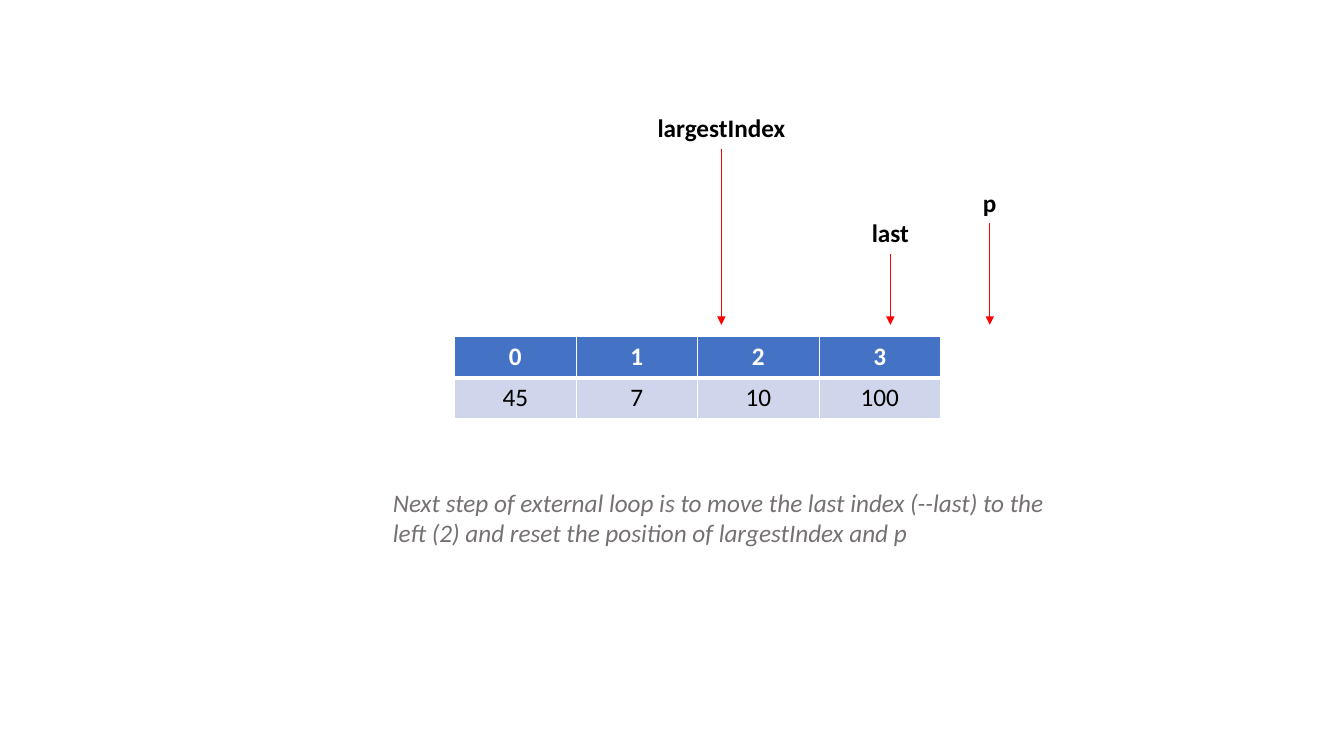
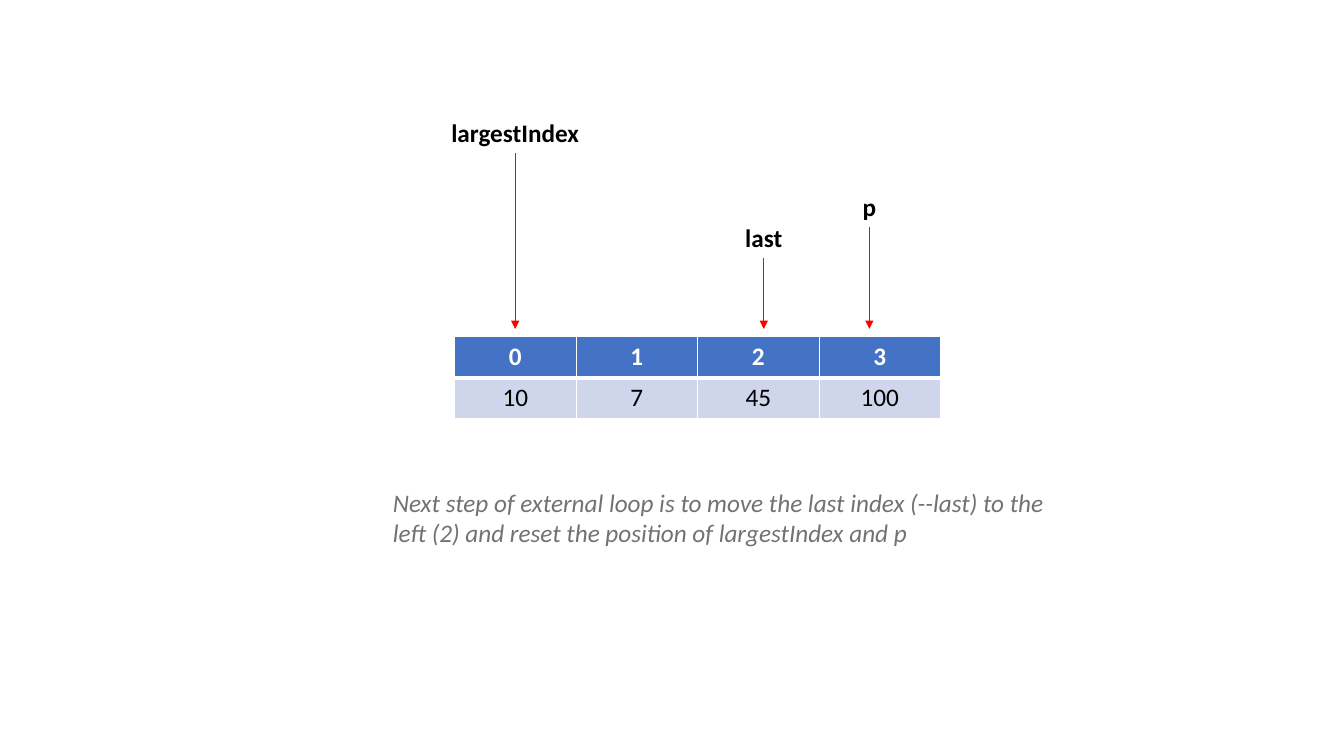
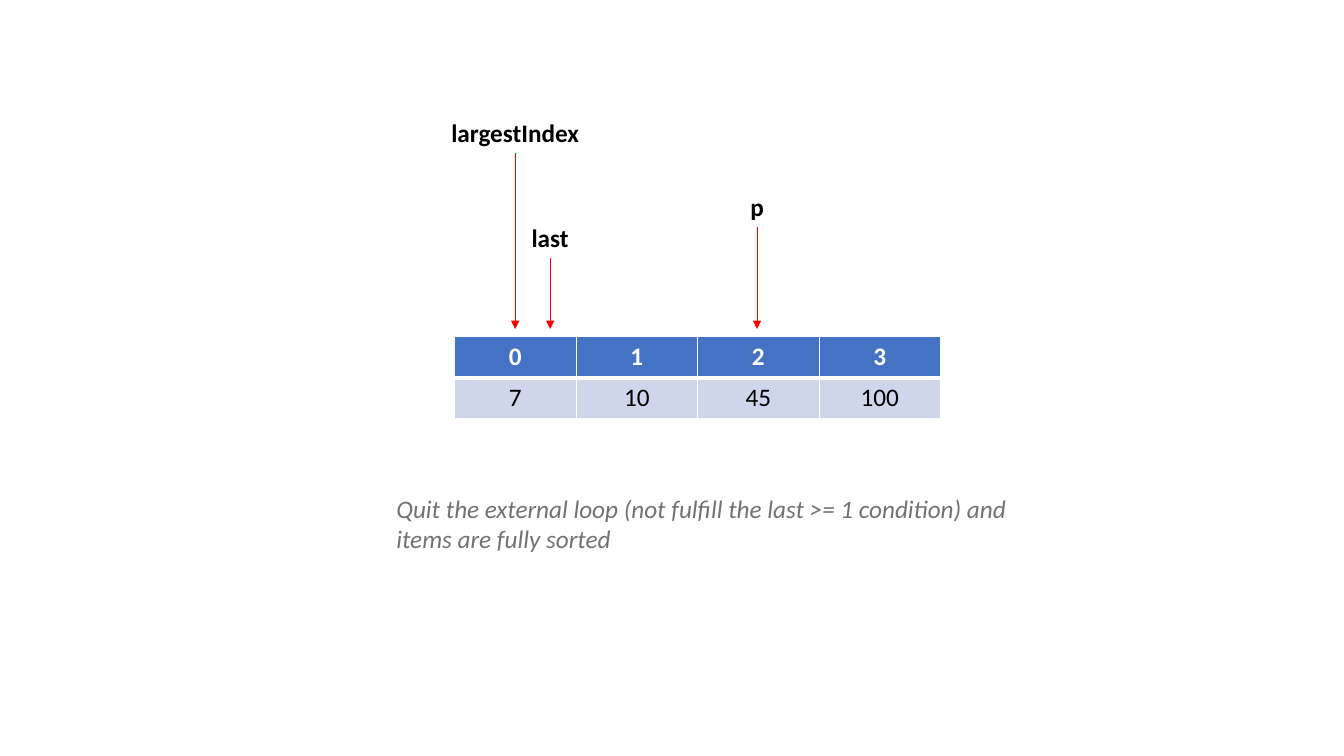
from lxml.etree import SubElement as Sub
from pptx import Presentation
from pptx.dml.color import RGBColor
from pptx.enum.shapes import MSO_CONNECTOR as Link
from pptx.enum.text import MSO_AUTO_SIZE as Fit, PP_ALIGN as Align
from pptx.oxml.ns import qn
from pptx.util import Pt

WHITE = RGBColor(0xFF, 0xFF, 0xFF)
BLACK = RGBColor(0, 0, 0)
BLUE = RGBColor(0x44, 0x72, 0xC4)
PALE = RGBColor(0xCF, 0xD5, 0xEA)
GREY = RGBColor(0x76, 0x71, 0x71)
RED = RGBColor(0xFF, 0, 0)

LEFT, TOP, COL, ROW = 324.7, 240.6, 86.8, 29.2
NEXT = ("Next step of external loop is to move the last index (--last) "
        "to the left (2) and reset the position of largestIndex and p")
QUIT = ("Quit the external loop (not fulfill the last >= 1 condition) "
        "and items are fully sorted")
MARKS = {"last": (155, 50), "largestIndex": (80, 110), "p": (133, 50)}
STEPS = [
    ([45, 7, 10, 100], (636, 515.3, 707), 3, NEXT, (273.6, 344.2)),
    ([10, 7, 45, 100], (545.6, 368, 621), 0, NEXT, (273.6, 344.2)),
    ([7, 10, 45, 100], (393, 368, 540.8), 0, QUIT, (276, 348.5)),
]


class Deck:
    font = "Calibri"
    size = Pt(18)

    def __init__(self):
        self.file = Presentation()
        self.file.slide_width = Pt(960)
        self.file.slide_height = Pt(540)

    def page(self):
        self.slide = self.file.slides.add_slide(self.file.slide_layouts[6])

    def style(self, frame, color, align, bold=False, italic=False):
        for para in frame.paragraphs:
            para.alignment = align
            for run in para.runs:
                font = run.font
                font.name, font.size = self.font, self.size
                font.bold, font.italic = bold, italic
                font.color.rgb = color

    def text(self, words, x, y, w, h, color, align, **look):
        box = self.slide.shapes.add_textbox(Pt(x), Pt(y), Pt(w), Pt(h))
        frame = box.text_frame
        frame.word_wrap = True
        frame.auto_size = Fit.SHAPE_TO_FIT_TEXT
        frame.text = words
        self.style(frame, color, align, **look)

    def arrow(self, x, start, end):
        line = self.slide.shapes.add_connector(
            Link.STRAIGHT, Pt(x), Pt(start), Pt(x), Pt(end))
        line.line.color.rgb = RED
        line.line.width = Pt(0.5)
        Sub(line.line._get_or_add_ln(), qn("a:tailEnd"), type="triangle")
        Sub(line._element.spPr, qn("a:effectLst"))

    def mark(self, name, x, y, w, end):
        self.text(name, x - w / 2, y, w, ROW, BLACK, Align.CENTER, bold=True)
        self.arrow(x, y + ROW, end)

    def edge(self, cell, side, width):
        line = Sub(cell._tc.get_or_add_tcPr(), qn("a:ln" + side),
                   w=str(Pt(width)))
        fill = Sub(line, qn("a:solidFill"))
        Sub(fill, qn("a:srgbClr"), val=str(WHITE))

    def table(self, rows):
        grid = self.slide.shapes.add_table(
            len(rows), len(rows[0]), Pt(LEFT), Pt(TOP),
            Pt(COL * len(rows[0])), Pt(ROW * len(rows))).table
        for r, row in enumerate(rows):
            head = r == 0
            for c, value in enumerate(row):
                cell = grid.cell(r, c)
                cell.text_frame.text = str(value)
                self.style(cell.text_frame, WHITE if head else BLACK,
                           Align.CENTER, bold=head)
                for side in "LRTB":
                    inner = side == ("B" if head else "T")
                    self.edge(cell, side, 3 if inner else 1)
                cell.fill.solid()
                cell.fill.fore_color.rgb = BLUE if head else PALE


def main():
    deck = Deck()
    for items, spots, lift, note, (x, y) in STEPS:
        deck.page()
        deck.table([range(len(items)), items])
        for (name, (top, width)), spot in zip(MARKS.items(), spots):
            deck.mark(name, spot, top - lift, width, 235 - lift)
        deck.text(note, x, y, 480, 51, GREY, Align.LEFT, italic=True)
    deck.file.save("out.pptx")


if __name__ == "__main__":
    main()
